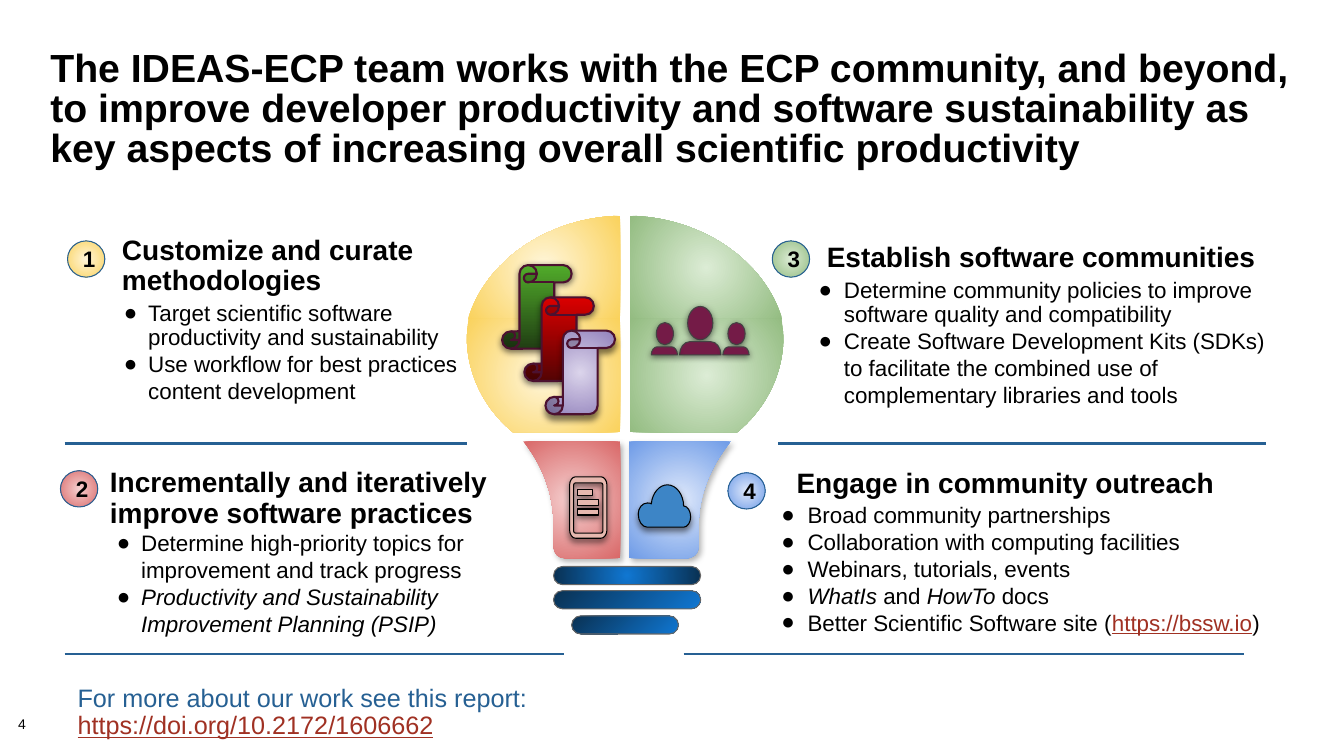
from dataclasses import dataclass

from lxml import etree
from pptx import Presentation
from pptx.dml.color import RGBColor
from pptx.enum.shapes import MSO_CONNECTOR, MSO_SHAPE
from pptx.enum.text import MSO_ANCHOR, MSO_AUTO_SIZE, PP_ALIGN
from pptx.oxml import parse_xml
from pptx.oxml.ns import nsdecls, qn
from pptx.util import Inches, Pt

TOP, MIDDLE = MSO_ANCHOR.TOP, MSO_ANCHOR.MIDDLE
LEFT, CENTER = PP_ALIGN.LEFT, PP_ALIGN.CENTER
OVAL, RECT = MSO_SHAPE.OVAL, MSO_SHAPE.RECTANGLE
PILL, SCROLL = MSO_SHAPE.ROUNDED_RECTANGLE, MSO_SHAPE.VERTICAL_SCROLL
STRAIGHT = MSO_CONNECTOR.STRAIGHT


@dataclass(frozen=True)
class Theme:
    font: str = "Arial"
    title: int = 28
    heading: int = 20
    body: int = 16
    note: int = 18
    number: int = 10
    ink: str = "000000"
    blue: str = "266093"
    link: str = "A03123"
    plum: str = "741B47"
    yellow: tuple = ("FFF6DB", "FAD25C")
    red: tuple = ("F5D0D0", "D96868")
    green: tuple = ("DCECD5", "93BC81")
    sky: tuple = ("DFE9FB", "6E9BE7")
    navy: tuple = ("1077D2", "093153")
    icon: str = "E6B8AF"
    cloud: str = "3D85C6"


T = Theme()
CENTRED = (50, 50, 50, 50)
CORNER = (100, 100, 0, 0)
BULB_SHADOW = (29, 2.6, 53)  # opacity %, distance pt, direction
ICON_SHADOW = (50, 2.2, 90)
SOFT_SHADOW = (50, 1.5, 90)


def mirror(contour, axis=6.2):
    return [tuple(round(2 * axis - v, 2) if i % 2 == 0 else v for i, v in enumerate(step))
            for step in contour]


def rounded(l, t, w, h, rx, ry, bottom=True):
    """Contour of a rectangle with rounded top, and optionally bottom, corners."""
    r, b, kx, ky = l + w, t + h, rx * 0.45, ry * 0.45
    top = [(l, t + ry), (l, t + ky, l + kx, t, l + rx, t), (r - rx, t),
           (r - kx, t, r, t + ky, r, t + ry)]
    if not bottom:
        return top + [(r, b), (l, b)]
    return top + [(r, b - ry), (r, b - ky, r - kx, b, r - rx, b), (l + rx, b),
                  (l + kx, b, l, b - ky, l, b - ry)]


def points(contour):
    """List every point of a contour, control points included."""
    return [(Inches(step[i]), Inches(step[i + 1]))
            for step in contour for i in range(0, len(step), 2)]


class Deck:
    def __init__(self):
        self.prs = Presentation()
        self.prs.slide_width, self.prs.slide_height = Inches(13.33), Inches(7.5)
        self.s = self.prs.slides.add_slide(self.prs.slide_layouts[4])

    def place(self, sp, at, inset=(0.1, 0.1), anchor=TOP):
        sp.left, sp.top, sp.width, sp.height = map(Inches, at)
        tf = sp.text_frame
        fmt = {"word_wrap": True, "auto_size": MSO_AUTO_SIZE.NONE, "vertical_anchor": anchor,
               "margin_left": Inches(inset[0]), "margin_right": Inches(inset[0]),
               "margin_top": Inches(inset[1]), "margin_bottom": Inches(inset[1])}
        for name, value in fmt.items():
            setattr(tf, name, value)
        return tf

    def para(self, p, runs, size, spacing=1.0, before=0, align=LEFT, margin=0, hang=0, **base):
        for name, value in {"alignment": align, "line_spacing": spacing,
                            "space_before": Pt(before), "space_after": Pt(0)}.items():
            setattr(p, name, value)
        pPr = p._p.get_or_add_pPr()
        pPr.set("marL", str(Inches(margin)))
        pPr.set("indent", str(Inches(-hang)))
        bullet = etree.SubElement(pPr, qn("a:buChar" if hang else "a:buNone"))
        if hang:
            bullet.set("char", "●")
        for text, extra in [(runs, {})] if isinstance(runs, str) else runs:
            fmt = {"name": T.font, "size": Pt(size), "bold": False, **base, **extra}
            colour = fmt.pop("colour", T.ink)
            r = p.add_run()
            r.text = text
            for name, value in fmt.items():
                setattr(r.font, name, value)
            r.font.color.rgb = RGBColor.from_string(colour)

    def title(self, text, at):
        tf = self.place(self.s.shapes.title, at, (0.1, 0.05))
        self.para(tf.paragraphs[0], text, T.title, 0.85, bold=True)

    def topic(self, idx, at, heading, items, margin, hang, indent=0, first=(1.0, 0), anchor=TOP):
        tf = self.place(self.s.placeholders[idx], at, anchor=anchor)
        self.para(tf.paragraphs[0], heading, T.heading, 0.9, margin=indent, bold=True)
        for n, item in enumerate(items):
            spacing, before = (1.0, 0) if n else first
            self.para(tf.add_paragraph(), item, T.body, spacing, before, margin=margin, hang=hang)

    def text(self, at, runs, size, inset, anchor=TOP):
        tf = self.place(self.s.shapes.add_textbox(0, 0, 0, 0), at, inset, anchor)
        self.para(tf.paragraphs[0], runs, size, 0.9)

    def paint(self, sp, fill, line=None, width=0.75, shadow=None, focus=CENTRED):
        """Fill with a colour or a pair of gradient colours; focus None runs downwards."""
        sp.fill.solid()
        if isinstance(fill, str):
            sp.fill.fore_color.rgb = RGBColor.from_string(fill)
        else:
            stops = "".join(f'<a:gs pos="{pos}"><a:srgbClr val="{c}"/></a:gs>'
                            for pos, c in zip((0, 100000), fill))
            way = '<a:lin ang="5400000" scaled="0"/>'
            if focus:
                edges = " ".join(f'{k}="{v * 1000}"' for k, v in zip("ltrb", focus))
                way = f'<a:path path="circle"><a:fillToRect {edges}/></a:path>'
            spPr = sp._element.spPr
            spPr.replace(spPr.find(qn("a:solidFill")), parse_xml(
                f'<a:gradFill {nsdecls("a")}><a:gsLst>{stops}</a:gsLst>{way}</a:gradFill>'))
        if line:
            sp.line.color.rgb = RGBColor.from_string(line)
            sp.line.width = Pt(width)
        else:
            sp.line.fill.background()
        sp.shadow.inherit = False
        if shadow:
            alpha, dist, angle = shadow
            sp._element.spPr.find(qn("a:effectLst")).append(parse_xml(
                f'<a:outerShdw {nsdecls("a")} blurRad="{Pt(4.5)}" dist="{Pt(dist)}" '
                f'dir="{angle * 60000}" algn="bl" rotWithShape="0"><a:srgbClr val="{T.ink}">'
                f'<a:alpha val="{alpha * 1000}"/></a:srgbClr></a:outerShdw>'))

    def shape(self, kind, at, fill, adj=None, **look):
        sp = self.s.shapes.add_shape(kind, *map(Inches, at))
        if adj is not None:
            sp.adjustments[0] = adj
        self.paint(sp, fill, **look)
        return sp

    def outline(self, contours, fill, **look):
        first, *rest = map(points, contours)
        fb = self.s.shapes.build_freeform(*first[0], scale=1.0)
        fb.add_line_segments(first[1:], close=True)
        for pts in rest:
            fb.move_to(*pts[0])
            fb.add_line_segments(pts[1:], close=True)
        sp = fb.convert_to_shape()
        # Join each curve's three segments into one cubic
        segments = iter(list(sp._element.iter(qn("a:lnTo"))))
        for step in (step for contour in contours for step in contour[1:]):
            start = next(segments)
            if len(step) == 6:
                start.tag = qn("a:cubicBezTo")
                for _ in range(2):
                    extra = next(segments)
                    start.append(extra[0])
                    extra.getparent().remove(extra)
        self.paint(sp, fill, **look)

    def badge(self, label, at, fill):
        sp = self.shape(OVAL, at, fill, line=T.blue)
        tf = self.place(sp, at, anchor=MIDDLE)
        self.para(tf.paragraphs[0], label, T.body, align=CENTER, bold=True)

    def rule(self, x1, x2, y):
        ln = self.s.shapes.add_connector(STRAIGHT, Inches(x1), Inches(y), Inches(x2), Inches(y))
        ln.line.color.rgb = RGBColor.from_string(T.blue)
        ln.line.width = Pt(1.5)
        etree.SubElement(ln._element.spPr, qn("a:effectLst"))


def main():
    d = Deck()
    d.title("The IDEAS-ECP team works with the ECP community, and beyond, to improve developer "
            "productivity and software sustainability as key aspects of increasing overall "
            "scientific productivity", (0.4, 0.45, 12.51, 1))

    # Four topics
    italic = {"italic": True}
    link = {"colour": T.link, "underline": True}
    d.topic(1, (1.11, 2.24, 3.59, 2.46), "Customize and curate methodologies",
            ["Target scientific software productivity and sustainability",
             "Use workflow for best practices content development"], 0.26, 0.24, first=(0.9, 4))
    d.topic(2, (0.99, 4.55, 4.02, 1.96),
            "Incrementally and iteratively improve software practices",
            ["Determine high-priority topics for improvement and track progress",
             [("Productivity and Sustainability Improvement Planning (PSIP)", italic)]], 0.31, 0.24)
    d.topic(3, (7.64, 1.99, 5.11, 2.48), "Establish software communities",
            ["Determine community policies to improve software quality and compatibility",
             "Create Software Development Kits (SDKs) to facilitate the combined use of "
             "complementary libraries and tools"], 0.63, 0.25, 0.46, (0.9, 4), MIDDLE)
    d.topic(4, (7.15, 4.56, 6.1, 2.3), "Engage in community outreach",
            ["Broad community partnerships", "Collaboration with computing facilities",
             "Webinars, tutorials, events",
             [("WhatIs", italic), (" and ", {}), ("HowTo ", italic), ("docs", {})],
             [("Better Scientific Software site (", {}), ("https://bssw.io", link), (")", {})]],
            0.76, 0.26, 0.65, (1.0, 1))

    # Light bulb
    dome_top = [(6.15, 2.14), (6.15, 3.17), (4.64, 3.17), (4.81, 2.6, 5.42, 2.16, 6.15, 2.14)]
    dome_base = [(6.15, 3.16), (6.15, 4.29), (5.09, 4.29), (4.81, 4.06, 4.64, 3.73, 4.63, 3.37),
                 (4.63, 3.3, 4.64, 3.22, 4.65, 3.16)]
    for part in (dome_top, dome_base):
        d.outline([part], T.yellow)
        d.outline([mirror(part)], T.green)
    d.outline([[(5.19, 4.38), (6.15, 4.38), (6.15, 5.54), (5.61, 5.54),
                (5.54, 5.54, 5.49, 5.49, 5.49, 5.42), (5.49, 5.2),
                (5.49, 4.9, 5.38, 4.61, 5.19, 4.38)]], T.red, shadow=BULB_SHADOW)
    d.outline([[(6.24, 4.38), (7.25, 4.38), (7.05, 4.62, 6.93, 4.91, 6.93, 5.21), (6.93, 5.42),
                (6.93, 5.49, 6.88, 5.54, 6.8, 5.54), (6.24, 5.54)]], T.sky, shadow=BULB_SHADOW)
    for x, y, w, focus in ((5.49, 5.62, 1.46, CENTRED), (5.49, 5.86, 1.46, CORNER),
                           (5.67, 6.11, 1.06, CORNER)):
        d.shape(PILL, (x, y, w, 0.18), T.navy, adj=0.5, line="666666", focus=focus)

    # Cloud and device icons
    icon = {"line": T.ink, "shadow": ICON_SHADOW}
    d.outline([[(6.78, 5.02), (6.78, 4.91, 6.71, 4.81, 6.62, 4.81),
                (6.54, 4.81, 6.47, 4.89, 6.46, 5), (6.45, 4.99, 6.44, 4.99, 6.42, 4.99),
                (6.37, 4.99, 6.33, 5.04, 6.33, 5.1), (6.33, 5.17, 6.37, 5.23, 6.42, 5.23),
                (6.78, 5.23), (6.82, 5.23, 6.85, 5.18, 6.85, 5.13),
                (6.85, 5.07, 6.82, 5.02, 6.78, 5.02)]], T.cloud, **icon)
    d.outline([rounded(5.65, 4.73, 0.37, 0.61, 0.06, 0.08),
               rounded(5.69, 4.79, 0.29, 0.5, 0.02, 0.02)], T.icon, **icon)
    for y, w in ((4.86, 0.15), (4.96, 0.21), (5.05, 0.21)):
        d.shape(RECT, (5.73, y, w, 0.06), T.icon, **icon)

    # Rules and numbered badges
    for x1, x2, y in ((7.72, 12.56, 4.4), (6.78, 12.34, 6.49),
                      (0.64, 4.63, 4.4), (0.64, 5.59, 6.49)):
        d.rule(x1, x2, y)
    for n, (x, y, fill) in enumerate(((0.67, 2.39, T.yellow), (0.6, 4.67, T.red),
                                      (7.66, 2.39, T.green), (7.22, 4.69, T.sky)), 1):
        d.badge(str(n), (x, y, 0.37, 0.36), fill)

    # Scrolls
    for x, y, fill, focus, shadow in (
            (4.98, 2.63, ("51AB2A", "203E13"), None, SOFT_SHADOW),
            (5.2, 2.95, ("DB0000", "540303"), None, SOFT_SHADOW),
            (5.41, 3.28, ("DBD4EB", "9180BB"), CENTRED, (50, 3.8, 90))):
        d.shape(SCROLL, (x, y, 0.69, 0.83), fill, adj=0.25, line="4C1130", width=1.5,
                focus=focus, shadow=shadow)

    # People
    person = {"line": "434343", "shadow": SOFT_SHADOW}
    for head, body, radius in (
            ((6.82, 3.04, 0.25, 0.33), (6.74, 3.39, 0.41, 0.13), (0.1, 0.13)),
            ((7.22, 3.2, 0.17, 0.22), (7.17, 3.44, 0.26, 0.08), (0.06, 0.08)),
            ((6.51, 3.2, 0.17, 0.22), (6.46, 3.44, 0.26, 0.08), (0.06, 0.08))):
        d.shape(OVAL, head, T.plum, **person)
        d.outline([rounded(*body, *radius, bottom=False)], T.plum, **person)

    # Report link and slide number
    d.text((0.64, 6.7, 4.73, 0.75),
           [("For more about our work see this report: ", {"colour": T.blue}),
            ("https://doi.org/10.2172/1606662", link)], T.note, (0.13, 0.1), MIDDLE)
    d.text((0.18, 7.12, 0.56, 0.16), "4", T.number, (0, 0))
    d.prs.save("out.pptx")


if __name__ == "__main__":
    main()
